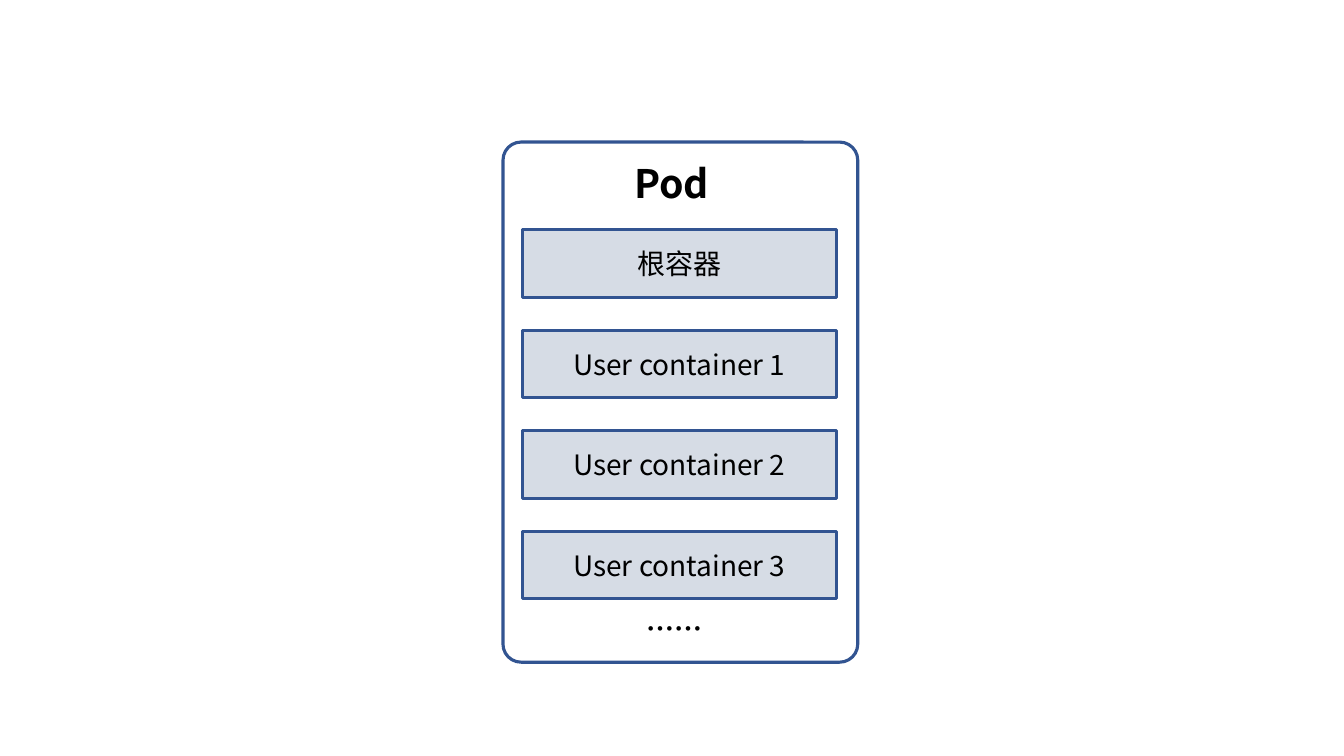
from pptx import Presentation
from pptx.dml.color import RGBColor
from pptx.enum.shapes import MSO_SHAPE
from pptx.enum.text import MSO_ANCHOR, PP_ALIGN
from pptx.oxml.ns import qn
from pptx.util import Pt

FONT = "Noto Sans CJK SC"
BLUE = RGBColor(0x32, 0x54, 0x91)
PALE = RGBColor(0xD6, 0xDC, 0xE5)
BLACK = RGBColor(0, 0, 0)

CONTAINERS = ["根容器", "User container 1", "User container 2", "User container 3"]
CONTAINER_TOP = 164.2
CONTAINER_PITCH = 71.75


def write_centred(shape, text, size, bold=False):
    frame = shape.text_frame
    frame.word_wrap = True
    frame.text = text
    para = frame.paragraphs[0]
    para.alignment = PP_ALIGN.CENTER
    span = para.runs[0]
    span.font.size = Pt(size)
    span.font.bold = bold
    span.font.name = FONT
    span.font.color.rgb = BLACK
    # Chinese characters take their typeface from a:ea
    east_asian = span.font._element.makeelement(qn("a:ea"), {"typeface": FONT})
    span.font._element.append(east_asian)


def add_outlined(group, kind, left, top, width, height):
    shape = group.shapes.add_shape(kind, Pt(left), Pt(top), Pt(width), Pt(height))
    shape.shadow.inherit = False
    shape.line.color.rgb = BLUE
    shape.line.width = Pt(2.25)
    return shape


def add_pod_frame(group):
    frame = add_outlined(group, MSO_SHAPE.ROUNDED_RECTANGLE, 359.3, 101.5, 253.4, 371.5)
    frame.adjustments[0] = 0.051
    frame.fill.background()


def add_container(group, top, name):
    box = add_outlined(group, MSO_SHAPE.RECTANGLE, 373, top, 224.6, 48.2)
    box.fill.solid()
    box.fill.fore_color.rgb = PALE
    box.text_frame.vertical_anchor = MSO_ANCHOR.MIDDLE
    write_centred(box, name, 20)


def add_label(group, left, top, height, text, size):
    box = group.shapes.add_textbox(Pt(left), Pt(top), Pt(107.3), Pt(height))
    write_centred(box, text, size, bold=True)


def main():
    deck = Presentation()
    deck.slide_width, deck.slide_height = Pt(960), Pt(540)
    page = deck.slides.add_slide(deck.slide_layouts[6])
    pod = page.shapes.add_group_shape()
    add_pod_frame(pod)
    for row, name in enumerate(CONTAINERS):
        add_container(pod, CONTAINER_TOP + row * CONTAINER_PITCH, name)
    add_label(pod, 426.2, 110.2, 41, "Pod", 28)
    add_label(pod, 428.4, 433.4, 31.7, "……", 20)
    deck.save("out.pptx")


if __name__ == "__main__":
    main()
